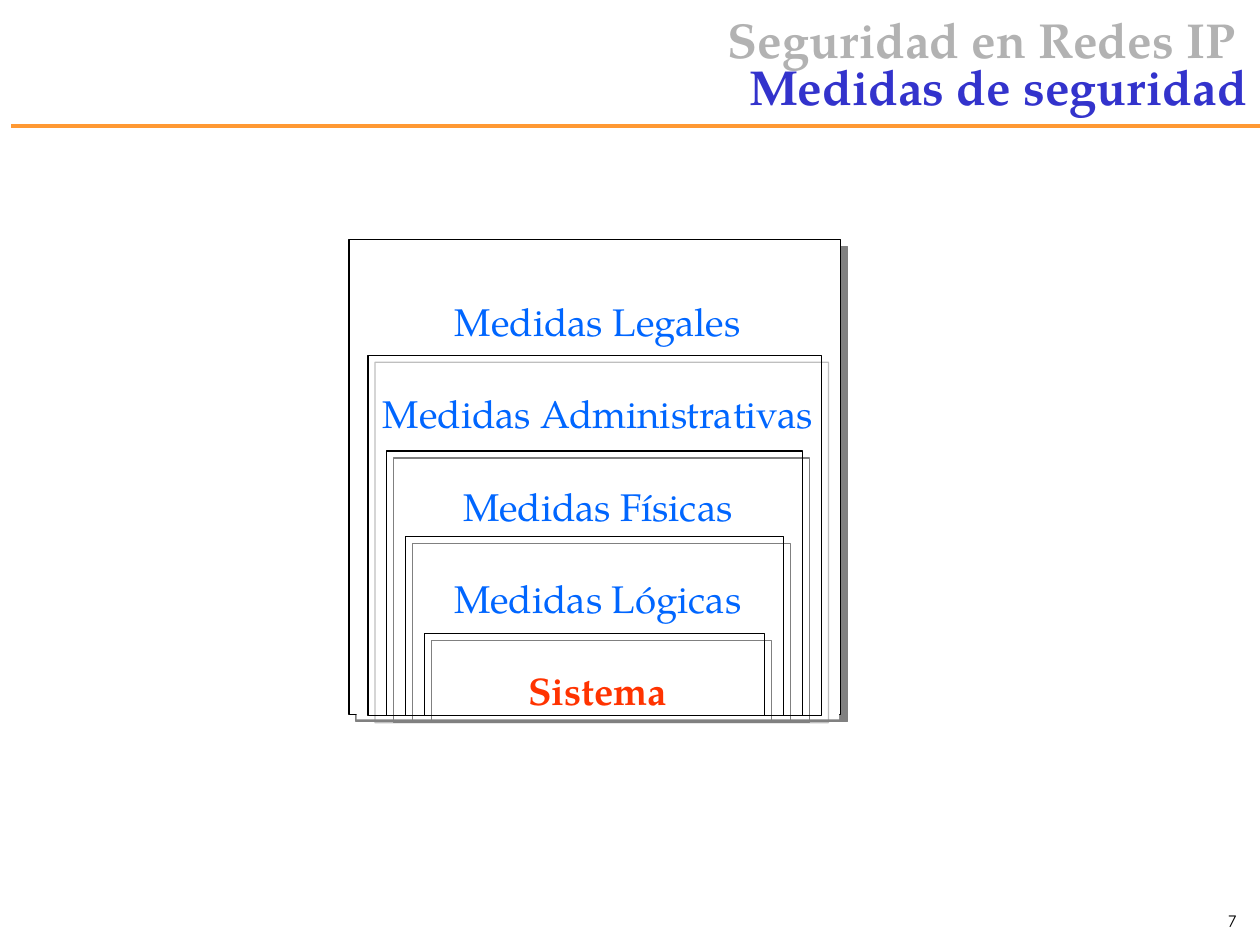
from lxml import etree
from pptx import Presentation
from pptx.dml.color import RGBColor
from pptx.enum.shapes import MSO_CONNECTOR, MSO_SHAPE
from pptx.enum.text import MSO_ANCHOR, MSO_AUTO_SIZE, PP_ALIGN
from pptx.oxml import parse_xml
from pptx.oxml.ns import nsdecls, qn
from pptx.util import Inches, Pt

RECT = MSO_SHAPE.RECTANGLE
STRAIGHT = MSO_CONNECTOR.STRAIGHT
CENTER, RIGHT = PP_ALIGN.CENTER, PP_ALIGN.RIGHT
TOP, MIDDLE = MSO_ANCHOR.TOP, MSO_ANCHOR.MIDDLE
SERIF, SANS = "TeX Gyre Pagella", "Comic Neue"
C = {"rule": "FF9933", "white": "FFFFFF", "black": "000000", "shadow": "808080",
     "course": "B2B2B2", "title": "3333CC", "measure": "0066FF", "system": "FF3300"}


def add_run(p, text, size, font, color, bold=False):
    r = p.add_run()
    r.text = text
    r.font.size, r.font.name, r.font.bold = Pt(size), font, bold
    r.font.color.rgb = RGBColor.from_string(C[color])


def add_frame(x, y, w, h, filled=False, opacity=100):
    sp = slide.shapes.add_shape(RECT, Inches(x), Inches(y), Inches(w), Inches(h))
    if filled:
        sp.fill.solid()
        sp.fill.fore_color.rgb = RGBColor.from_string(C["white"])
    else:
        sp.fill.background()
    sp.line.color.rgb = RGBColor.from_string(C["black"])
    sp.line.width = Pt(0.75)
    sp._element.spPr.append(parse_xml(
        f'<a:effectLst {nsdecls("a")}>'
        f'<a:outerShdw dist="{Pt(5.7)}" dir="2700000" algn="ctr" rotWithShape="0">'
        f'<a:srgbClr val="{C["shadow"]}"><a:alpha val="{opacity * 1000}"/></a:srgbClr>'
        '</a:outerShdw></a:effectLst>'))


prs = Presentation()
prs.slide_width, prs.slide_height = Inches(10), Inches(7.5)
slide = prs.slides.add_slide(prs.slide_layouts[5])

# Rule under the title
rule = slide.shapes.add_connector(STRAIGHT, Inches(0.09), Inches(1), Inches(10), Inches(1))
rule.line.color.rgb = RGBColor.from_string(C["rule"])
rule.line.width = Pt(2)
etree.SubElement(rule._element.spPr, qn("a:effectLst"))

# Title
title = slide.shapes.title
title.left, title.top = Inches(2.42), Inches(0.08)
title.width, title.height = Inches(7.58), Inches(0.92)
tf = title.text_frame
tf.auto_size = MSO_AUTO_SIZE.NONE
tf.vertical_anchor = MIDDLE
p = tf.paragraphs[0]
p.alignment, p.line_spacing = RIGHT, 0.8
add_run(p, "Seguridad en Redes IP ", 28, SERIF, "course", True)
p.add_line_break()
add_run(p, "Medidas de seguridad", 28, SERIF, "title", True)

# Outer frame
add_frame(2.77, 1.9, 3.9, 3.77, filled=True)

# Layer names
names = slide.shapes.add_textbox(Inches(2.83), Inches(1.95), Inches(3.83), Inches(3.76))
names.fill.solid()
names.fill.fore_color.rgb = RGBColor.from_string(C["white"])
tf = names.text_frame
tf.word_wrap = False
tf.auto_size = MSO_AUTO_SIZE.SHAPE_TO_FIT_TEXT
tf.vertical_anchor = TOP
layers = ["Medidas Legales", "Medidas Administrativas", "Medidas Físicas",
          "Medidas Lógicas", "Sistema"]
for i, layer in enumerate(layers):
    p = tf.paragraphs[0] if i == 0 else tf.add_paragraph()
    p.alignment, p.line_spacing = CENTER, 2.0
    core = layer == "Sistema"
    add_run(p, layer, 22, SERIF, "system" if core else "measure", core)

# Inner frames: each 0.15 wider per side, all on one base line
BASE = 5.68
for i, top in enumerate([5.03, 4.26, 3.58, 2.82]):
    add_frame(3.37 - 0.15 * i, top, 2.7 + 0.3 * i, BASE - top,
              opacity=50 if i == 3 else 100)

# Slide number
number = slide.shapes.add_textbox(Inches(7.83), Inches(7.17), Inches(2.08), Inches(0.5))
tf = number.text_frame
tf.word_wrap = True
p = tf.paragraphs[0]
p.alignment = RIGHT
add_run(p, "7", 10, SANS, "black")

prs.save("out.pptx")
